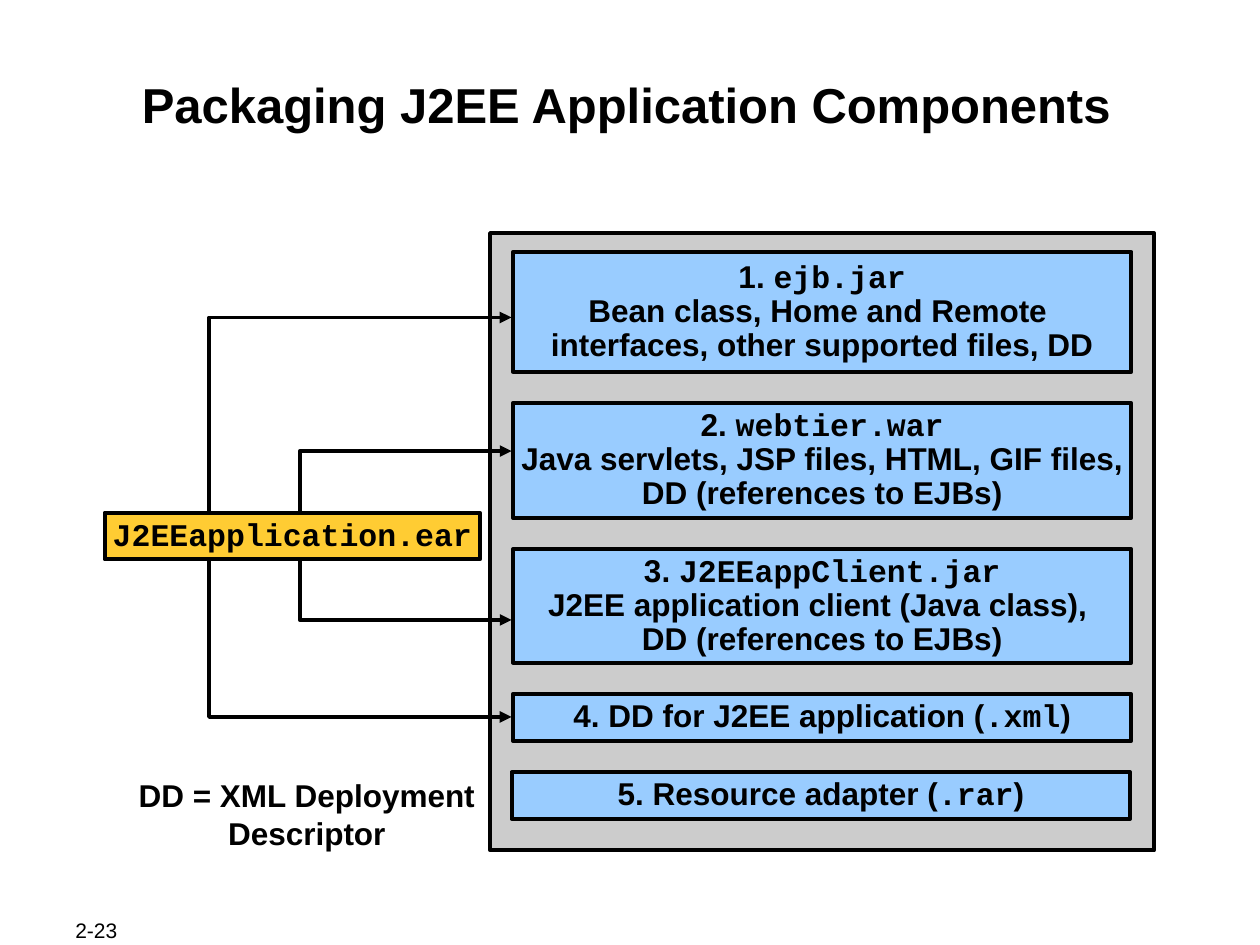
from typing import NamedTuple

from lxml.etree import SubElement
from pptx import Presentation
from pptx.dml.color import RGBColor
from pptx.enum.shapes import MSO_SHAPE as Shape
from pptx.enum.text import MSO_ANCHOR as Anchor, PP_ALIGN as Align
from pptx.oxml.ns import qn
from pptx.util import Emu, Inches, Pt

BLACK = RGBColor(0x00, 0x00, 0x00)
GREY = RGBColor(0xCC, 0xCC, 0xCC)
BLUE = RGBColor(0x99, 0xCC, 0xFF)
GOLD = RGBColor(0xFF, 0xCC, 0x33)
SANS, MONO = "Arial", "Courier New"

# The slide is a grid of 100 columns by 75 rows
COLS, ROWS = 100, 75
WIDTH, HEIGHT = Inches(10), Inches(7.5)


class Area(NamedTuple):
    col: float
    row: float
    cols: float
    rows: float


class Part(NamedTuple):
    rows: float
    paragraphs: list[str]
    col: float = 40.7


class Route(NamedTuple):
    col: float
    start_row: float
    end_row: float


# Backticks enclose file names set in the fixed-width font
PARTS = [
    Part(9.5, ["1. `ejb.jar`", "Bean class, Home and Remote \n"
               "interfaces, other supported files, DD"]),
    Part(9.1, ["2. `webtier.war`", "Java servlets, JSP files, HTML, GIF files,\n"
               "DD (references to EJBs)"]),
    Part(9, ["3. `J2EEappClient.jar`", "J2EE application client (Java class), \n"
             "DD (references to EJBs)"]),
    Part(3.7, ["4. DD for J2EE application (`.xml`)"]),
    Part(3.7, ["5. Resource adapter (`.rar`)"], col=40.6),
]
FIRST_ROW, GAP, PART_COLS = 20, 2.5, 49.1

ROUTES = [
    Route(16.6, 42.9, 25.2),
    Route(16.6, 43.9, 56.9),
    Route(23.8, 42, 35.8),
    Route(23.8, 43, 49.2),
]
ARROW_COL = 40.6


def x(col: float) -> Emu:
    return Emu(round(WIDTH * col / COLS))


def y(row: float) -> Emu:
    return Emu(round(HEIGHT * row / ROWS))


def place(area: Area) -> tuple[Emu, Emu, Emu, Emu]:
    return x(area.col), y(area.row), x(area.cols), y(area.rows)


def write(sp, paragraphs: list[str], *, size: float = 18, bold: bool = True,
          align=Align.CENTER, anchor=Anchor.TOP, wrap: bool = True,
          before: float = 0, spacing: float = 1.0, inset: tuple = (0.1, 0.05)) -> None:
    tf = sp.text_frame
    tf.word_wrap, tf.vertical_anchor = wrap, anchor
    tf.margin_left = tf.margin_right = Inches(inset[0])
    tf.margin_top = tf.margin_bottom = Inches(inset[1])
    for i, text in enumerate(paragraphs):
        p = tf.add_paragraph() if i else tf.paragraphs[0]
        p.alignment, p.space_before, p.line_spacing = align, Pt(before), spacing
        for j, piece in enumerate(text.split("`")):
            for k, line in enumerate(piece.split("\n")):
                if k:
                    p.add_line_break()
                if not line:
                    continue
                r = p.add_run()
                r.text = line
                r.font.name = MONO if j % 2 else SANS
                r.font.size, r.font.bold = Pt(size), bold
                r.font.color.rgb = BLACK


def add_text(s, area: Area, text: str, **fmt) -> None:
    write(s.shapes.add_textbox(*place(area)), [text], **fmt)


def outline(sp) -> None:
    sp.shadow.inherit = False
    sp.line.color.rgb, sp.line.width = BLACK, Pt(2.25)


def add_box(s, area: Area, fill: RGBColor, paragraphs: list[str] | None = None) -> None:
    sp = s.shapes.add_shape(Shape.RECTANGLE, *place(area))
    outline(sp)
    sp.fill.solid()
    sp.fill.fore_color.rgb = fill
    if paragraphs:
        write(sp, paragraphs, anchor=Anchor.MIDDLE, wrap=False, spacing=0.9)


def add_route(s, route: Route) -> None:
    builder = s.shapes.build_freeform(x(route.col), y(route.start_row))
    builder.add_line_segments([(x(route.col), y(route.end_row)),
                               (x(ARROW_COL), y(route.end_row))], close=False)
    sp = builder.convert_to_shape()
    outline(sp)
    sp.fill.background()
    SubElement(sp.line._get_or_add_ln(), qn("a:tailEnd"), type="triangle")


def main() -> None:
    prs = Presentation()
    prs.slide_width, prs.slide_height = WIDTH, HEIGHT
    s = prs.slides.add_slide(prs.slide_layouts[6])

    # Title, abbreviation note and page number
    add_text(s, Area(9.7, 5.8, 80, 9.6), "Packaging J2EE Application Components",
             size=28, before=7, inset=(0.01, 0.01))
    add_text(s, Area(9.4, 61.1, 29.9, 7), "DD = XML Deployment Descriptor", before=11.2)
    add_text(s, Area(5, 72.8, 10.6, 2), "2-23", size=12, bold=False,
             align=Align.LEFT, anchor=Anchor.MIDDLE)

    # Archive contents, stacked with equal gaps
    add_box(s, Area(38.9, 18.5, 52.7, 49), GREY)
    row = FIRST_ROW
    for part in PARTS:
        add_box(s, Area(part.col, row, PART_COLS, part.rows), BLUE, part.paragraphs)
        row += part.rows + GAP

    # Arrows run from behind the archive to its contents
    for route in ROUTES:
        add_route(s, route)
    add_box(s, Area(8.3, 40.7, 29.8, 3.7), GOLD, ["`J2EEapplication.ear`"])

    prs.save("out.pptx")


if __name__ == "__main__":
    main()
